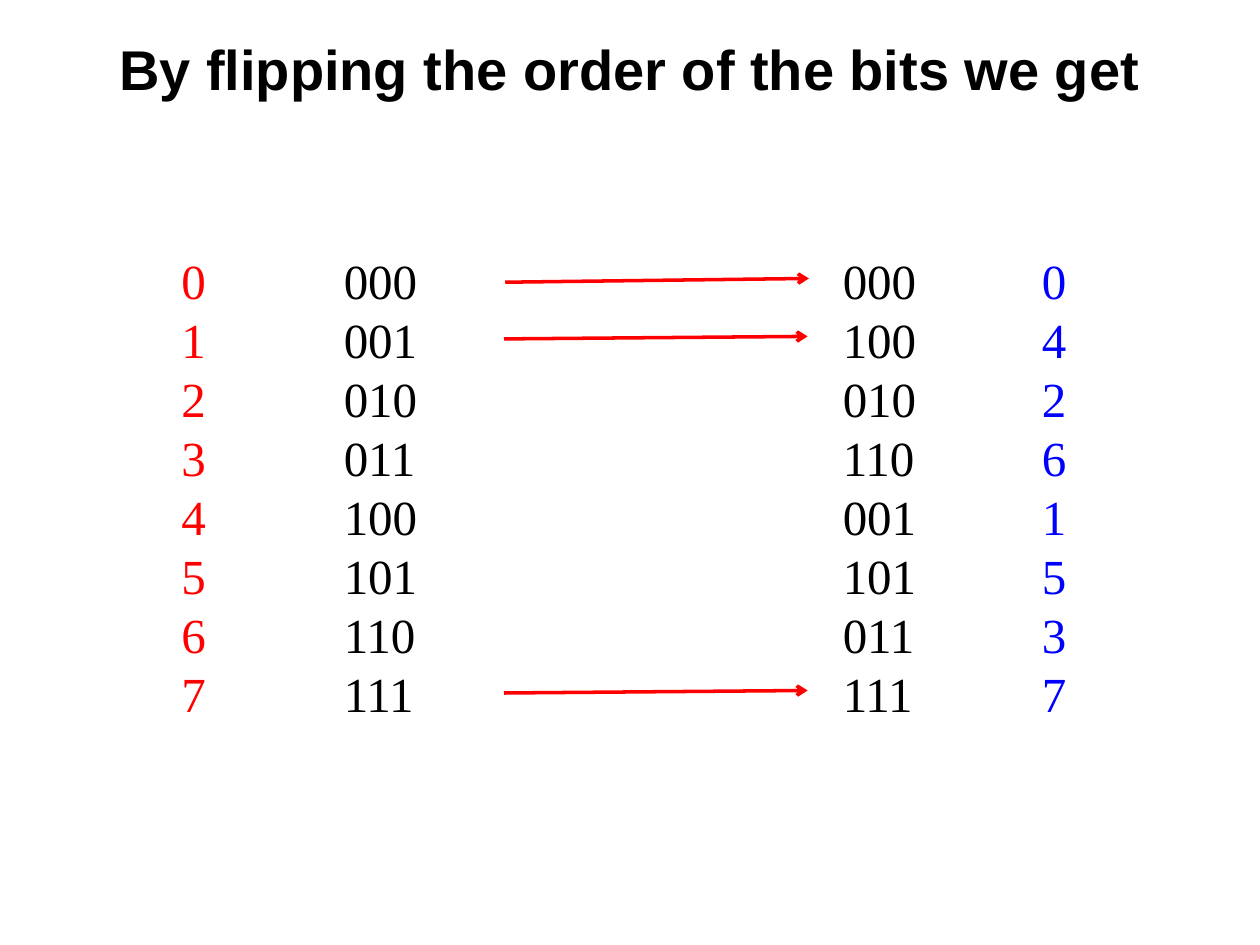
import pptx
import pptx.util
import pptx.dml.color
import pptx.enum.shapes
import pptx.enum.text
import lxml.etree
from pptx.util import Inches

BLACK = pptx.dml.color.RGBColor(0, 0, 0)
RED = pptx.dml.color.RGBColor(255, 0, 0)
BLUE = pptx.dml.color.RGBColor(0, 0, 255)
DRAWING_NS = "{http://schemas.openxmlformats.org/drawingml/2006/main}"

deck = pptx.Presentation()
deck.slide_width = Inches(10)
deck.slide_height = Inches(7.5)
slide = deck.slides.add_slide(deck.slide_layouts[5])

heading = slide.shapes.title
heading.left, heading.top = Inches(0), Inches(0.17)
heading.width, heading.height = Inches(10), Inches(0.75)
heading_frame = heading.text_frame
heading_frame.text = "By flipping the order of the bits we get"
heading_frame.vertical_anchor = pptx.enum.text.MSO_ANCHOR.TOP
heading_frame.auto_size = pptx.enum.text.MSO_AUTO_SIZE.NONE
heading_frame.margin_top = Inches(0.1)
heading_line = heading_frame.paragraphs[0]
heading_line.alignment = pptx.enum.text.PP_ALIGN.CENTER
heading_line.font.name = "Arial"
heading_line.font.size = pptx.util.Pt(32)
heading_line.font.bold = True
heading_line.font.color.rgb = BLACK

indices = [str(number) for number in range(8)]
bits = [f"{number:03b}" for number in range(8)]
flipped_bits = [code[::-1] for code in bits]
flipped_indices = [str(int(code, 2)) for code in flipped_bits]

columns = [
    (1.34, 0.39, indices, RED),
    (2.63, 0.78, bits, BLACK),
    (6.59, 0.78, flipped_bits, BLACK),
    (8.17, 0.39, flipped_indices, BLUE),
]
for left, width, entries, color in columns:
    column = slide.shapes.add_textbox(Inches(left), Inches(1.92), Inches(width), Inches(3.84))
    column_frame = column.text_frame
    column_frame.word_wrap = False
    column_frame.margin_top = Inches(0.07)
    column_frame.margin_bottom = Inches(0.03)
    column_frame.text = "\n".join(entries)
    for entry in column_frame.paragraphs:
        entry.line_spacing = pptx.util.Pt(33.7)
        entry.font.name = "Times New Roman"
        entry.font.size = pptx.util.Pt(28)
        entry.font.color.rgb = color

for left, start_y, end_y in [(4.01, 2.24, 2.21), (4, 2.69, 2.67), (4, 5.5, 5.48)]:
    arrow = slide.shapes.add_connector(
        pptx.enum.shapes.MSO_CONNECTOR.STRAIGHT,
        Inches(left), Inches(start_y), Inches(left + 2.41), Inches(end_y),
    )
    arrow.line.color.rgb = RED
    arrow.line.width = pptx.util.Pt(2)
    lxml.etree.SubElement(arrow.line._get_or_add_ln(), DRAWING_NS + "tailEnd", type="arrow")
    lxml.etree.SubElement(arrow._element.spPr, DRAWING_NS + "effectLst")

deck.save("out.pptx")
